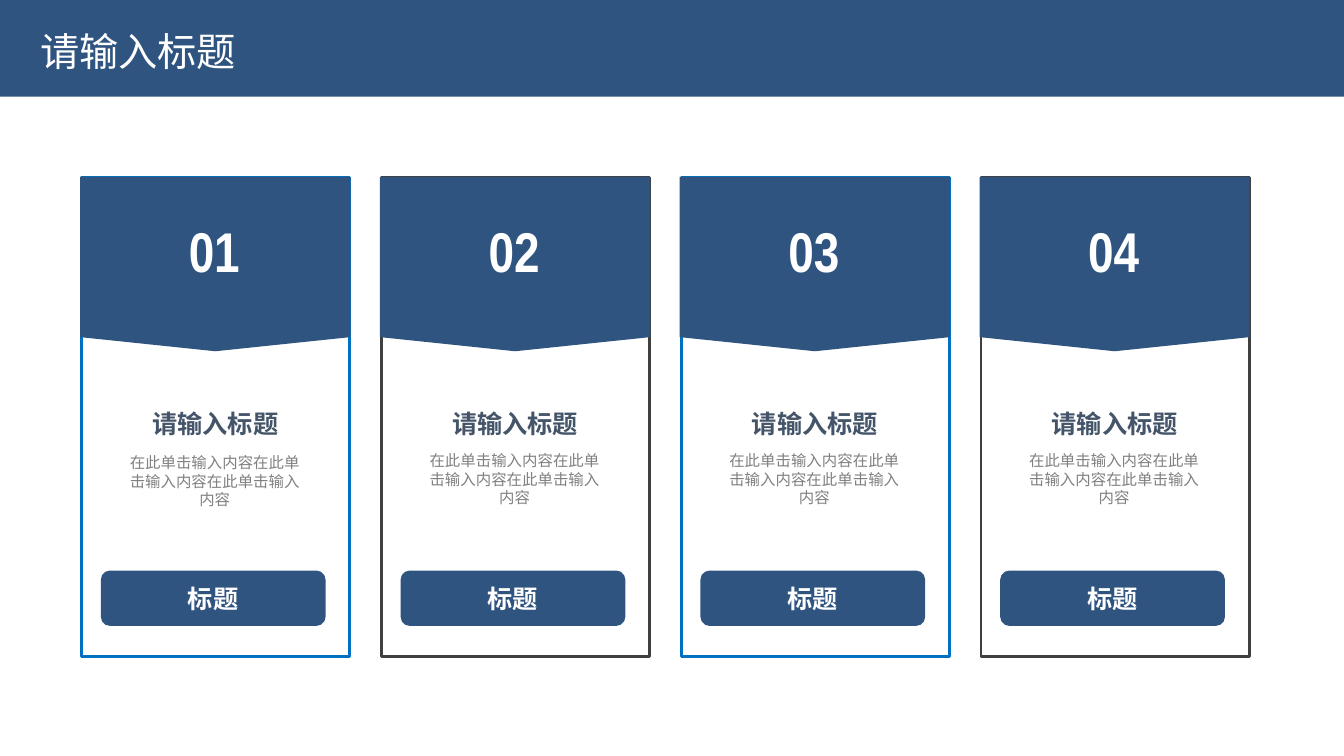
from lxml.etree import SubElement
from pptx import Presentation
from pptx.dml.color import RGBColor
from pptx.enum.shapes import MSO_SHAPE
from pptx.enum.text import MSO_ANCHOR, PP_ALIGN
from pptx.oxml.ns import qn
from pptx.util import Inches, Pt

NAVY = RGBColor(0x30, 0x54, 0x80)
BLUE = RGBColor(0x00, 0x70, 0xC0)
CHARCOAL = RGBColor(0x40, 0x40, 0x40)
SLATE = RGBColor(0x44, 0x54, 0x69)
GRAY = RGBColor(0x80, 0x80, 0x80)
WHITE = RGBColor(0xFF, 0xFF, 0xFF)

CJK_FONT = "Noto Sans CJK SC"
HEADING = "请输入标题"
DESCRIPTION = "在此单击输入内容在此单击输入内容在此单击输入内容"
BUTTON_LABEL = "标题"

CARD_COUNT = 4
FIRST_LEFT = 0.81
LAST_LEFT = 9.73
CARD_PITCH = (LAST_LEFT - FIRST_LEFT) / (CARD_COUNT - 1)


class SlideBuilder:
    padding = (0.07, 0.04)

    def __init__(self, slide):
        self.slide = slide

    def shape(self, kind, box, fill, line=None, adjustment=None, rotation=0):
        shape = self.slide.shapes.add_shape(kind, *map(Inches, box))
        shape.shadow.inherit = False
        shape.fill.solid()
        shape.fill.fore_color.rgb = fill
        if line is None:
            shape.line.fill.background()
        else:
            shape.line.color.rgb = line
            shape.line.width = Pt(2)
        if adjustment is not None:
            shape.adjustments[0] = adjustment
        shape.rotation = rotation
        return shape

    def label(self, shape, text, size, color, font, bold=False,
              align=PP_ALIGN.CENTER, anchor=MSO_ANCHOR.TOP, padding=padding):
        text_frame = shape.text_frame
        text_frame.word_wrap = True
        text_frame.vertical_anchor = anchor
        text_frame.margin_left = text_frame.margin_right = Inches(padding[0])
        text_frame.margin_top = text_frame.margin_bottom = Inches(padding[1])
        text_frame.text = text
        paragraph = text_frame.paragraphs[0]
        paragraph.alignment = align
        run = paragraph.runs[0]
        run.font.size = Pt(size)
        run.font.bold = bold
        run.font.color.rgb = color
        run.font.name = font
        east_asian = SubElement(run.font._element, qn("a:ea"))
        east_asian.set("typeface", CJK_FONT)

    def text(self, box, text, size, color, font, **options):
        text_box = self.slide.shapes.add_textbox(*map(Inches, box))
        self.label(text_box, text, size, color, font, **options)

    def card(self, index):
        left = FIRST_LEFT + index * CARD_PITCH
        border = CHARCOAL if index % 2 else BLUE
        self.shape(MSO_SHAPE.RECTANGLE, (left, 1.76, 2.66, 4.75), WHITE, border)
        self.shape(MSO_SHAPE.PENTAGON, (left + 0.46, 1.28, 1.73, 2.68), NAVY,
                   adjustment=0.081, rotation=90)
        button = self.shape(MSO_SHAPE.ROUNDED_RECTANGLE,
                            (left + 0.19, 5.66, 2.23, 0.55), NAVY, adjustment=0.167)
        self.label(button, BUTTON_LABEL, 18, WHITE, "Arial Narrow", bold=True,
                   anchor=MSO_ANCHOR.MIDDLE)
        self.text((left + 0.57, 2.11, 1.49, 0.75), f"{index + 1:02d}", 40, WHITE,
                  "Arial Narrow", bold=True)
        self.text((left - 0.01, 4.05, 2.67, 0.3), HEADING, 18, SLATE, "Arial",
                  bold=True, padding=(0, 0))
        description_top = 4.48 if index else 4.5
        self.text((left + 0.46, description_top, 1.72, 0.56), DESCRIPTION, 11, GRAY,
                  CJK_FONT, padding=(0, 0))


def main():
    presentation = Presentation()
    presentation.slide_width = Inches(13.33)
    presentation.slide_height = Inches(7.5)
    slide = presentation.slides.add_slide(presentation.slide_layouts[6])
    builder = SlideBuilder(slide)
    builder.shape(MSO_SHAPE.RECTANGLE, (0, 0, 13.33, 0.96), NAVY)
    for index in range(CARD_COUNT):
        builder.card(index)
    builder.text((0.33, 0.23, 4.74, 0.55), HEADING, 28, WHITE, CJK_FONT,
                 align=PP_ALIGN.LEFT)
    presentation.save("out.pptx")


if __name__ == "__main__":
    main()
